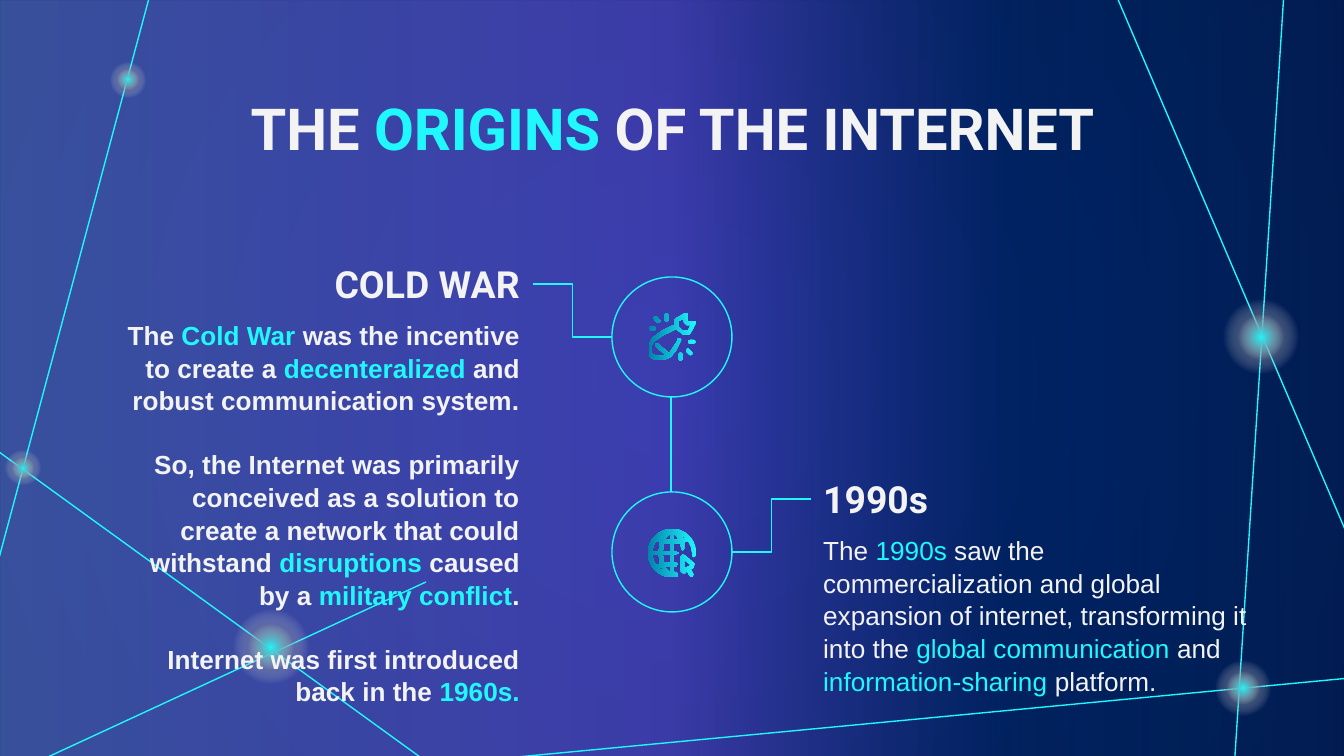
import math

import pptx
import pptx.util
from lxml import etree
from pptx.dml.color import RGBColor
from pptx.enum.shapes import MSO_CONNECTOR, MSO_SHAPE
from pptx.enum.text import MSO_ANCHOR, PP_ALIGN
from pptx.oxml.ns import qn

SLIDE_SIZE = (1344, 756)
PX = pptx.util.Inches(10) / SLIDE_SIZE[0]
ICON_UNIT = pptx.util.Inches(0.01)

COLORS = {"white": "F3F3F3", "cyan": "20F8FD", "navy": "00183A", "blue": "012060",
          "royal": "022E88", "violet": "7659FF", "periwinkle": "748BFF", "teal": "0182AA"}

BACKDROP = [(0, "blue", 100), (100, "navy", 100)]
TINT = [(0, "periwinkle", 49), (50, "violet", 50), (75, "royal", 35), (100, "blue", 60)]
ICON_FILL = [(0, "cyan", 100), (100, "teal", 100)]
HALO_FADE = [(50, "white", 0), (100, "white", 0)]

NETWORK = [(1117, -3, 1347, 534), (1284, -8, 1234, 771), (507, 758, 1361, 677),
           (-1, 452, 431, 765), (22, 769, 426, 582), (152, -13, -1, 558)]
GLOWS = [(1261, 337, 106), (1243, 688, 78), (271, 647, 106), (23, 468, 50), (128, 80, 50)]

# Text in [brackets] is highlighted.
TEXTS = [
    ((106, 249, 427, 70), "Roboto", 20, True, PP_ALIGN.RIGHT, MSO_ANCHOR.BOTTOM, ["COLD WAR"]),
    ((810, 464, 427, 70), "Roboto", 20, True, PP_ALIGN.LEFT, MSO_ANCHOR.BOTTOM, ["1990s"]),
    ((106, 305, 427, 421), "Arial", 14, True, PP_ALIGN.RIGHT, MSO_ANCHOR.TOP, [
        "The [Cold War ]was the incentive to create a [decenteralized]"
        " and robust communication system.",
        "So, the Internet was primarily conceived as a solution to create a network"
        " that could withstand [disruptions] caused by a [military conflict].",
        "Internet was first introduced back in the [1960s.]"]),
    ((810, 520, 454, 204), "Arial", 14, False, PP_ALIGN.LEFT, MSO_ANCHOR.TOP, [
        "The [1990s] saw the commercialization and global expansion of internet,"
        " transforming it into the [global communication] and"
        " [information-sharing ]platform."]),
    ((106, 79, 1133, 93), "Roboto", 31, True, PP_ALIGN.CENTER, MSO_ANCHOR.TOP,
     ["THE [ORIGINS] OF THE INTERNET"]),
]

RING_LEFT, RING_SIZE = 612, 120
RING_TOPS = [277, 492]
LINKS = [(MSO_CONNECTOR.ELBOW, (533, 284, 612, 337)),
         (MSO_CONNECTOR.ELBOW, (732, 552, 811, 499)),
         (MSO_CONNECTOR.STRAIGHT, (671, 397, 671, 492))]


def arc(x, y, radius, start, end, step=6):
    return [(x + radius * math.cos(math.radians(angle)), y + radius * math.sin(math.radians(angle)))
            for angle in range(start, end + 1, step)]


def capsule(x1, y1, x2, y2, radius=1.4):
    heading = round(math.degrees(math.atan2(y2 - y1, x2 - x1)))
    return (arc(x2, y2, radius, heading - 90, heading + 90, 30)
            + arc(x1, y1, radius, heading + 90, heading + 270, 30))


WRENCH = [
    [(31, 15), (35, 8), (35, 6), (33, 6), (29, 6), (29, 1), (28, 0), (27, 0), (20, 4), (19, 5),
     (19, 9), (16, 10), (10, 13), (2, 19), (0, 24), (0, 30), (1, 33), (5, 35), (11, 35), (16, 33),
     (20, 28), (23, 22), (24, 20), (23, 19), (21, 19), (21, 21), (15, 30), (7, 23), (5, 23),
     (5, 25), (13, 32), (11, 32), (5, 32), (2, 30), (2, 24), (4, 21), (10, 17), (18, 13),
     (20, 12), (24, 15), (25, 16), (30, 16)],
    [(25, 13), (22, 10), (22, 6), (26, 4), (26, 7), (28, 9), (31, 9), (29, 13)],
] + [capsule(*spark) for spark in [(5, 4, 7, 6), (13, 2, 13, 5), (1.5, 11.5, 3.5, 11.5),
                                   (29, 28, 31, 30), (30.5, 21.5, 33.5, 21.5),
                                   (23.5, 31, 23.5, 34)]]
GLOBE = [
    arc(18, 18, 18, 78, 360) + [
        (36, 20), (34, 21), (33, 20), (33, 18), (32, 13), (30, 9), (27, 10), (27, 15), (26, 16),
        (25, 15), (24, 11), (19, 11), (19, 17), (21, 17), (23, 18), (21, 19), (19, 19), (19, 25),
        (21, 25), (22, 26), (21, 28), (19, 28), (19, 33), (20, 32), (22, 33), (22, 34)],
    [(13, 29), (13, 28), (17, 28), (17, 33)],
    [(11, 30), (12, 32), (8, 29), (10, 28)],
    [(6, 27), (4, 23), (3, 19), (8, 19), (9, 26)],
    [(6, 9), (9, 10), (8, 17), (3, 17), (4, 13)],
    [(17, 8), (13, 8), (13, 7), (17, 3)],
    [(11, 6), (10, 7), (8, 7), (12, 4)],
    [(12, 11), (17, 11), (17, 17), (11, 17)],
    [(19, 8), (19, 3), (21, 5), (23, 8)],
    [(24, 5), (24, 4), (28, 7), (26, 7)],
    [(17, 25), (12, 25), (11, 19), (17, 19)],
    [(35, 26), (28, 20), (26, 19), (24, 21), (24, 31), (26, 33), (28, 33), (29, 31), (31, 35),
     (33, 36), (34, 34), (32, 30), (34, 29)],
    [(32, 27), (28, 29), (27, 29), (27, 23)],
]
ICONS = [(649, 313, WRENCH), (648, 529, GLOBE)]


def px(*lengths):
    return [round(length * PX) for length in lengths]


def rgb(name):
    return RGBColor.from_string(COLORS[name])


def paint_gradient(fill, element, stops, angle=None):
    fill.gradient()
    gradient = element.find(".//" + qn("a:gradFill"))
    for child in list(gradient):
        gradient.remove(child)
    stop_list = etree.SubElement(gradient, qn("a:gsLst"))
    for position, name, opacity in stops:
        stop = etree.SubElement(stop_list, qn("a:gs"), pos=str(position * 1000))
        color = etree.SubElement(stop, qn("a:srgbClr"), val=COLORS[name])
        if opacity < 100:
            etree.SubElement(color, qn("a:alpha"), val=str(opacity * 1000))
    if angle is None:
        circle = etree.SubElement(gradient, qn("a:path"), path="circle")
        etree.SubElement(circle, qn("a:fillToRect"), l="50000", t="50000", r="50000", b="50000")
    else:
        etree.SubElement(gradient, qn("a:lin"), ang=str(angle * 60000), scaled="0")


def style_line(line):
    line.color.rgb = rgb("cyan")
    line.width = pptx.util.Pt(0.75)


def add_filled(slide, kind, box, stops, angle=None):
    shape = slide.shapes.add_shape(kind, *px(*box))
    shape.shadow.inherit = False
    shape.line.fill.background()
    paint_gradient(shape.fill, shape.element, stops, angle)


def add_link(slide, kind, ends):
    link = slide.shapes.add_connector(kind, *px(*ends))
    style_line(link.line)
    etree.SubElement(link.element.spPr, qn("a:effectLst"))


def add_text(slide, box, font, size, bold, align, anchor, paragraphs):
    frame = slide.shapes.add_textbox(*px(*box)).text_frame
    frame.word_wrap = True
    frame.vertical_anchor = anchor
    frame.margin_left = frame.margin_right = pptx.util.Inches(0.1)
    frame.margin_top = frame.margin_bottom = pptx.util.Inches(0.1)
    for index, text in enumerate(paragraphs):
        paragraph = frame.add_paragraph() if index else frame.paragraphs[0]
        paragraph.alignment = align
        paragraph.font.name, paragraph.font.bold = font, bold
        paragraph.font.size = pptx.util.Pt(size)
        if font == "Arial":
            paragraph.line_spacing = 1.04
        if index:
            paragraph.space_before = pptx.util.Pt(16.8)
        for part, words in enumerate(text.replace("]", "[").split("[")):
            if words:
                run = paragraph.add_run()
                run.text = words
                run.font.color.rgb = rgb("cyan" if part % 2 else "white")


def add_icon(slide, left, top, contours):
    builder = slide.shapes.build_freeform(scale=1.0)
    for contour in contours:
        points = [(x * ICON_UNIT, y * ICON_UNIT) for x, y in contour]
        builder.move_to(*points[0])
        builder.add_line_segments(points[1:], close=True)
    icon = builder.convert_to_shape(*px(left, top))
    icon.shadow.inherit = False
    icon.line.fill.background()
    paint_gradient(icon.fill, icon.element, ICON_FILL, 180)


def main():
    deck = pptx.Presentation()
    deck.slide_width, deck.slide_height = px(*SLIDE_SIZE)
    slide = deck.slides.add_slide(deck.slide_layouts[6])
    paint_gradient(slide.background.fill, slide.element, BACKDROP)
    add_filled(slide, MSO_SHAPE.RECTANGLE, (0, 0, *SLIDE_SIZE), TINT, 0)
    for ends in NETWORK:
        add_link(slide, MSO_CONNECTOR.STRAIGHT, ends)
    for x, y, halo in GLOWS:
        for size, core in [(halo, "navy"), (round(halo * 0.6), "cyan")]:
            box = (x - size / 2, y - size / 2, size, size)
            add_filled(slide, MSO_SHAPE.OVAL, box, [(0, core, 100)] + HALO_FADE)
    for text in TEXTS:
        add_text(slide, *text)
    for top in RING_TOPS:
        ring = slide.shapes.add_shape(MSO_SHAPE.OVAL, *px(RING_LEFT, top, RING_SIZE, RING_SIZE))
        ring.shadow.inherit = False
        ring.fill.background()
        style_line(ring.line)
    for kind, ends in LINKS:
        add_link(slide, kind, ends)
    for icon in ICONS:
        add_icon(slide, *icon)
    deck.save("out.pptx")


if __name__ == "__main__":
    main()
